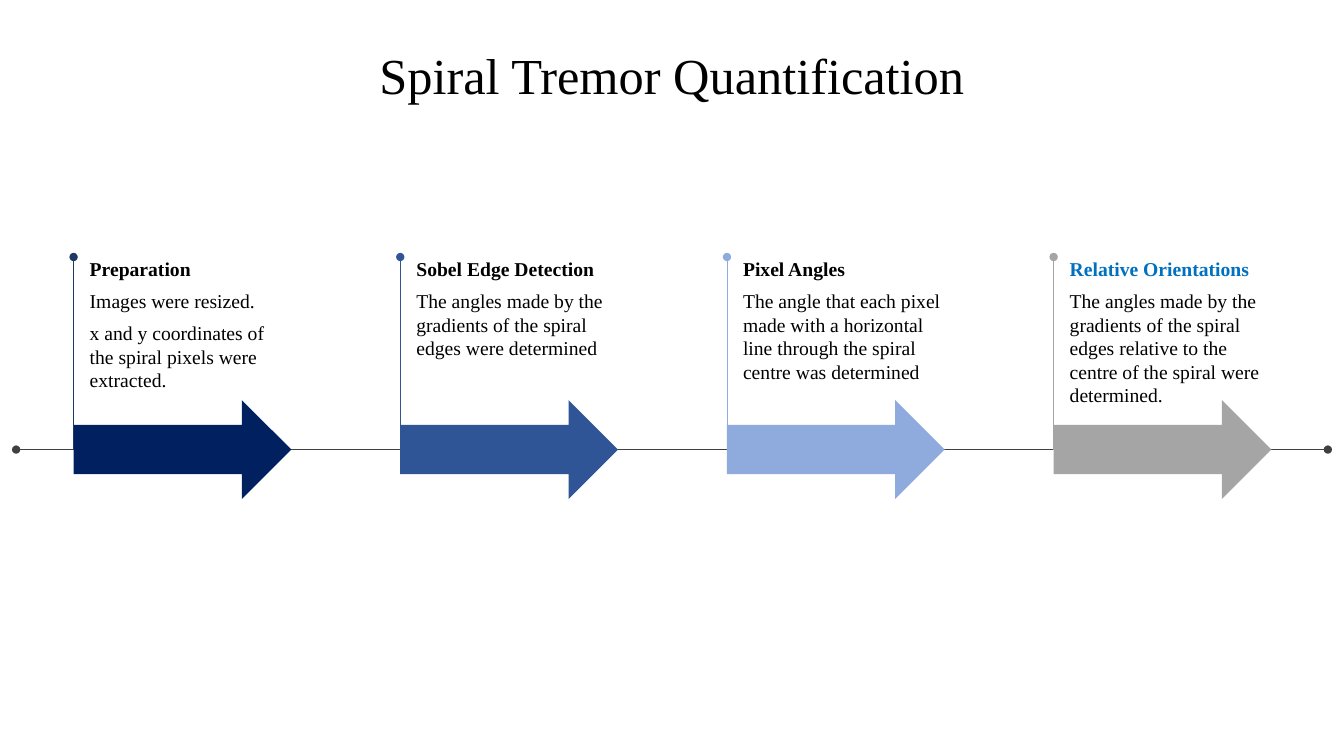
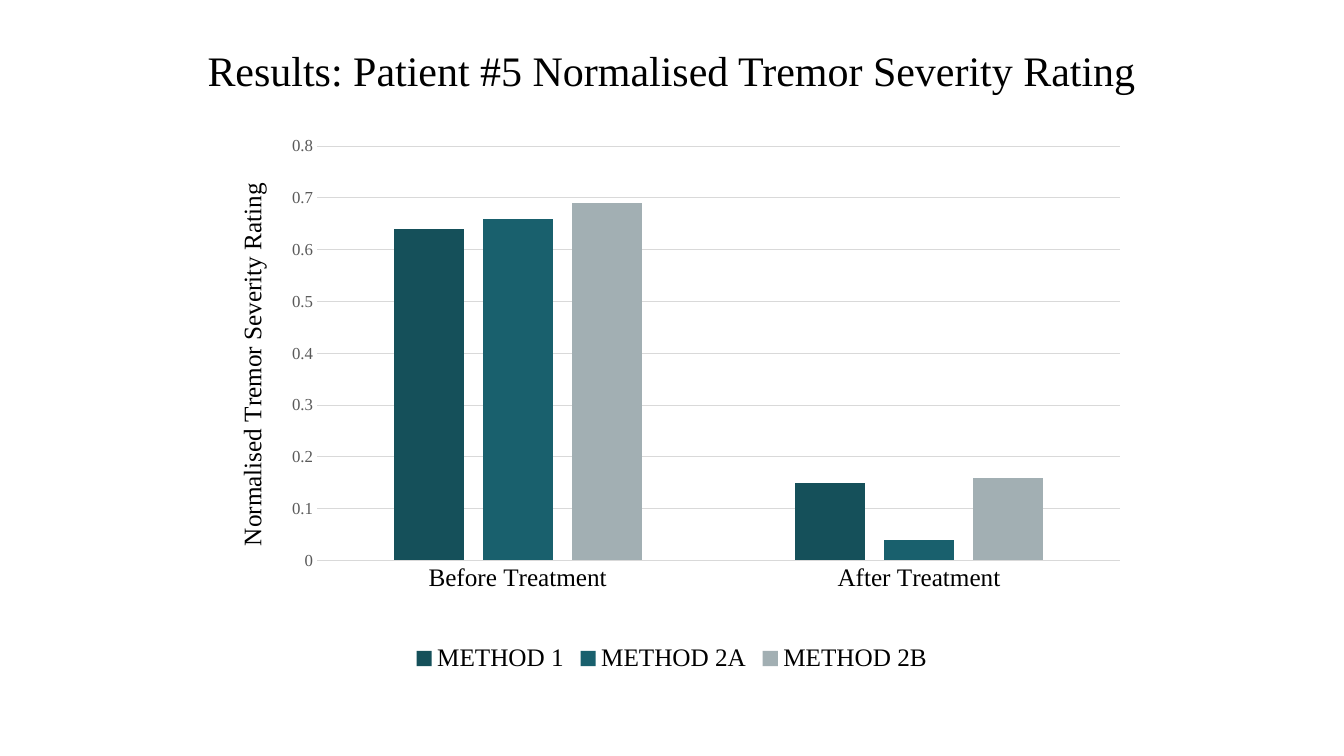
from lxml import etree
from pptx import Presentation
from pptx import util as u
from pptx.chart import data as chart_data
from pptx.dml.color import RGBColor
from pptx.enum import chart as charts, shapes, text
from pptx.oxml.ns import qn

FONT = "Times New Roman"
BLACK, GREY, DARK_GREY, RULE = "000000", "595959", "404040", "D9D9D9"
SLIDE_WIDTH, SLIDE_HEIGHT = 13.33, 7.5

# Timeline steps: heading, heading colour, body paragraphs, arrow colour, stem colour
STEPS = [
    ("Preparation", BLACK,
     ["Images were resized.",
      "x and y coordinates of the spiral pixels were extracted."],
     "002060", "203864"),
    ("Sobel Edge Detection", BLACK,
     ["The angles made by the gradients of the spiral edges were determined"],
     "2F5597", "2F5597"),
    ("Pixel Angles", BLACK,
     ["The angle that each pixel made with a horizontal line through the "
      "spiral centre was determined"],
     "8FAADC", "8FAADC"),
    ("Relative Orientations", "0070C0",
     ["The angles made by the gradients of the spiral edges relative to the "
      "centre of the spiral were determined."],
     "A5A5A5", "A5A5A5"),
]

# Chart series: name, values, colour
CATEGORIES = ["Before Treatment", "After Treatment"]
SERIES = [
    ("METHOD 1", (0.64, 0.15), "15505A"),
    ("METHOD 2A", (0.66, 0.04), "19606D"),
    ("METHOD 2B", (0.69, 0.16), "A2AFB3"),
]


def rgb(value):
    return RGBColor.from_string(value)


def inches(*lengths):
    return [u.Inches(length) for length in lengths]


def set_fill(target, colour):
    target.fill.solid()
    target.fill.fore_color.rgb = rgb(colour)


def set_line(line, colour, width):
    set_fill(line, colour)
    line.width = u.Pt(width)


def set_font(font, size, colour=BLACK, bold=False):
    font.name, font.size, font.bold = FONT, u.Pt(size), bold
    font.color.rgb = rgb(colour)


def write(para, words, size, colour=BLACK, bold=False, before=0, align=None):
    span = para.add_run()
    span.text = words
    set_font(span.font, size, colour, bold)
    para.space_before = u.Pt(before)
    if align is not None:
        para.alignment = align


def add_box(page, left, top, width, height):
    box = page.shapes.add_textbox(*inches(left, top, width, height))
    box.text_frame.word_wrap = True
    return box


def add_title(page, words, size, height):
    box = add_box(page, 0, 0.39, SLIDE_WIDTH, height)
    write(box.text_frame.paragraphs[0], words, size,
          align=text.PP_ALIGN.CENTER)


def add_dotted_line(page, start, end, colour, dots):
    """Thin straight line with a dot at each named end."""
    line = page.shapes.add_connector(
        shapes.MSO_CONNECTOR.STRAIGHT, *inches(*start, *end))
    set_line(line.line, colour, 0.5)
    outline = line.line._get_or_add_ln()
    for dot in dots:
        etree.SubElement(outline, qn(f"a:{dot}"), type="oval")
    etree.SubElement(line._element.spPr, qn("a:effectLst"))
    return line


def add_step(page, left, top, step):
    """One step: arrow, text above it and the stem on its left."""
    heading, heading_colour, body, arrow_colour, stem_colour = step
    arrow = page.shapes.add_shape(
        shapes.MSO_SHAPE.RIGHT_ARROW, *inches(left, top + 1.42, 2.16, 0.98))
    arrow.shadow.inherit = False
    set_fill(arrow, arrow_colour)
    arrow.line.fill.background()

    frame = add_box(page, left + 0.16, top, 2, 1.5).text_frame
    frame.margin_left = frame.margin_right = 0
    frame.margin_top = frame.margin_bottom = 0
    write(frame.paragraphs[0], heading, 14, heading_colour, bold=True)
    for words in body:
        write(frame.add_paragraph(), words, 14, before=6)

    stem = add_dotted_line(page, (left, top + 1.91), (left, top),
                           stem_colour, ["tailEnd"])
    stem.begin_connect(arrow, 1)


def add_timeline(page, left, top, width):
    axis = top + 1.91
    add_dotted_line(page, (left, axis), (left + width, axis), DARK_GREY,
                    ["headEnd", "tailEnd"])
    for index, step in enumerate(STEPS):
        add_step(page, left + 0.57 + 3.24 * index, top, step)


def set_plot_layout(chart, x, y, w, h):
    area = chart._chartSpace.chart.plotArea
    for old in area.findall(qn("c:layout")):
        area.remove(old)
    layout = etree.Element(qn("c:layout"))
    manual = etree.SubElement(layout, qn("c:manualLayout"))
    settings = {"layoutTarget": "inner", "xMode": "edge", "yMode": "edge",
                "x": x, "y": y, "w": w, "h": h}
    for name, value in settings.items():
        etree.SubElement(manual, qn(f"c:{name}"), val=str(value))
    area.insert(0, layout)


def add_rating_chart(page, left, top, width, height):
    ratings = chart_data.CategoryChartData()
    ratings.categories = CATEGORIES
    for name, values, _ in SERIES:
        ratings.add_series(name, values)
    chart = page.shapes.add_chart(
        charts.XL_CHART_TYPE.COLUMN_CLUSTERED,
        *inches(left, top, width, height), ratings).chart
    set_font(chart.font, 10)
    chart.has_title = False
    set_plot_layout(chart, 0.104, 0.017, 0.896, 0.767)

    # Columns
    plot = chart.plots[0]
    plot.gap_width, plot.overlap = 219, -27
    plot.vary_by_categories = False
    for series, (_, _, colour) in zip(plot.series, SERIES):
        set_fill(series.format, colour)

    # Axes
    category, value = chart.category_axis, chart.value_axis
    for axis, size, colour in ((category, 18, BLACK), (value, 12, GREY)):
        axis.major_tick_mark = axis.minor_tick_mark = charts.XL_TICK_MARK.NONE
        set_font(axis.tick_labels.font, size, colour)
    set_line(category.format.line, RULE, 0.75)
    value.format.line.fill.background()
    value.minimum_scale, value.maximum_scale, value.major_unit = 0, 0.8, 0.1
    set_line(value.major_gridlines.format.line, RULE, 0.75)
    write(value.axis_title.text_frame.paragraphs[0],
          "Normalised Tremor Severity Rating", 18)

    # Legend
    chart.has_legend = True
    chart.legend.position = charts.XL_LEGEND_POSITION.BOTTOM
    chart.legend.include_in_layout = False
    set_font(chart.legend.font, 18)


def main():
    deck = Presentation()
    deck.slide_width, deck.slide_height = inches(SLIDE_WIDTH, SLIDE_HEIGHT)
    blank = deck.slide_layouts[6]

    page = deck.slides.add_slide(blank)
    add_title(page, "Spiral Tremor Quantification", 36, 0.71)
    add_timeline(page, 0.16, 2.55, 13.01)

    page = deck.slides.add_slide(blank)
    add_title(page, "Results: Patient #5 Normalised Tremor Severity Rating",
              30, 0.61)
    add_rating_chart(page, 2.22, 1.36, 8.89, 5.36)

    deck.save("out.pptx")


if __name__ == "__main__":
    main()
